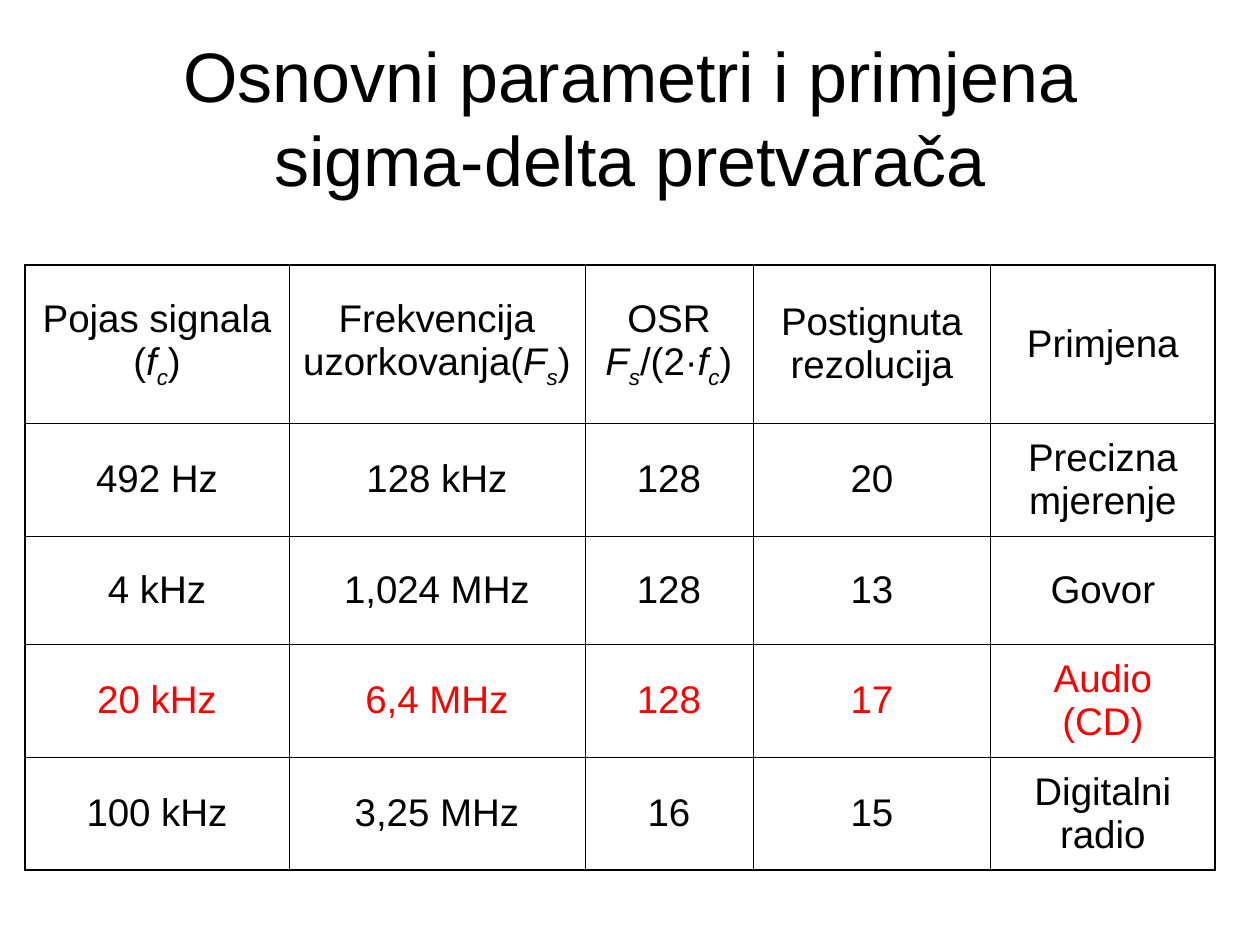
from typing import NamedTuple

from lxml.etree import SubElement
from pptx import Presentation
from pptx.dml.color import RGBColor
from pptx.enum.text import MSO_ANCHOR as Anchor, MSO_AUTO_SIZE as AutoSize, PP_ALIGN as Align
from pptx.oxml.ns import qn
from pptx.util import Pt

PX = 914400 // 126  # EMU in one px
FONT = "Arial"
BLACK = RGBColor(0x00, 0x00, 0x00)
RED = RGBColor(0xFF, 0x00, 0x00)
OUTER_LINE, INNER_LINE = Pt(0.96), Pt(0.45)


class Span(NamedTuple):
    text: str
    italic: bool = False
    baseline: int = 0  # percent of the text size


class Row(NamedTuple):
    height: int
    cells: list  # a cell is a list of lines; a line is a string or a list of spans
    color: RGBColor = BLACK


def symbol(letter: str, index: str) -> list[Span]:
    """A variable in italics with its subscript."""
    return [Span(letter, True), Span(index, True, -25)]


def add_span(para, text: str, *, size: int, color: RGBColor = BLACK,
             italic: bool = False, baseline: int = 0) -> None:
    span = para.add_run()
    span.text = text
    font = span.font
    font.name, font.size, font.italic = FONT, Pt(size), italic
    font.color.rgb = color
    if baseline:
        span._r.get_or_add_rPr().set("baseline", str(baseline * 1000))


def add_border(cell, side: str, width: int) -> None:
    line = SubElement(cell._tc.get_or_add_tcPr(), qn(f"a:ln{side}"), w=str(width))
    fill = SubElement(line, qn("a:solidFill"))
    SubElement(fill, qn("a:srgbClr"), val=str(BLACK))


def fill_cell(cell, lines: list, color: RGBColor) -> None:
    cell.vertical_anchor = Anchor.MIDDLE
    frame = cell.text_frame
    for number, line in enumerate(lines):
        para = frame.add_paragraph() if number else frame.paragraphs[0]
        para.alignment = Align.CENTER
        for span in [Span(line)] if isinstance(line, str) else line:
            add_span(para, span.text, size=22, color=color,
                     italic=span.italic, baseline=span.baseline)


def add_grid(page, left: int, top: int, widths: list[int], rows: list[Row]) -> None:
    height = sum(row.height for row in rows)
    table = page.shapes.add_table(len(rows), len(widths), left * PX, top * PX,
                                  sum(widths) * PX, height * PX).table
    table.first_row = table.horz_banding = False
    for column, width in zip(table.columns, widths):
        column.width = width * PX
    last_row, last_column = len(rows) - 1, len(widths) - 1
    for r, row in enumerate(rows):
        table.rows[r].height = row.height * PX
        for c, lines in enumerate(row.cells):
            cell = table.cell(r, c)
            edges = {"L": c == 0, "R": c == last_column, "T": r == 0, "B": r == last_row}
            for side, is_outer in edges.items():
                add_border(cell, side, OUTER_LINE if is_outer else INNER_LINE)
            cell.fill.background()
            fill_cell(cell, lines, row.color)


COLUMN_WIDTHS = [264, 296, 168, 238, 224]
ROWS = [
    Row(158, [
        ["Pojas signala", [Span("("), *symbol("f", "c"), Span(")")]],
        ["Frekvencija", [Span("uzorkovanja("), *symbol("F", "s"), Span(")")]],
        ["OSR", [*symbol("F", "s"), Span("/(2·"), *symbol("f", "c"), Span(")")]],
        ["Postignuta", "rezolucija"],
        ["Primjena"],
    ]),
    Row(113, [["492 Hz"], ["128 kHz"], ["128"], ["20"], ["Precizna mjerenje"]]),
    Row(108, [["4 kHz"], ["1,024 MHz"], ["128"], ["13"], ["Govor"]]),
    Row(113, [["20 kHz"], ["6,4 MHz"], ["128"], ["17"], ["Audio", "(CD)"]], RED),
    Row(113, [["100 kHz"], ["3,25 MHz"], ["16"], ["15"], ["Digitalni", "radio"]]),
]


def main() -> None:
    deck = Presentation()
    deck.slide_width, deck.slide_height = 1260 * PX, 945 * PX
    page = deck.slides.add_slide(deck.slide_layouts[5])

    # Title
    title = page.shapes.title
    title.left, title.top, title.width, title.height = 63 * PX, 38 * PX, 1134 * PX, 158 * PX
    frame = title.text_frame
    frame.word_wrap = True
    frame.auto_size = AutoSize.NONE
    frame.vertical_anchor = Anchor.MIDDLE
    para = frame.paragraphs[0]
    para.alignment = Align.CENTER
    add_span(para, "Osnovni parametri i primjena sigma-delta pretvarača", size=40)

    # Converter parameters
    add_grid(page, 25, 265, COLUMN_WIDTHS, ROWS)
    deck.save("out.pptx")


if __name__ == "__main__":
    main()
